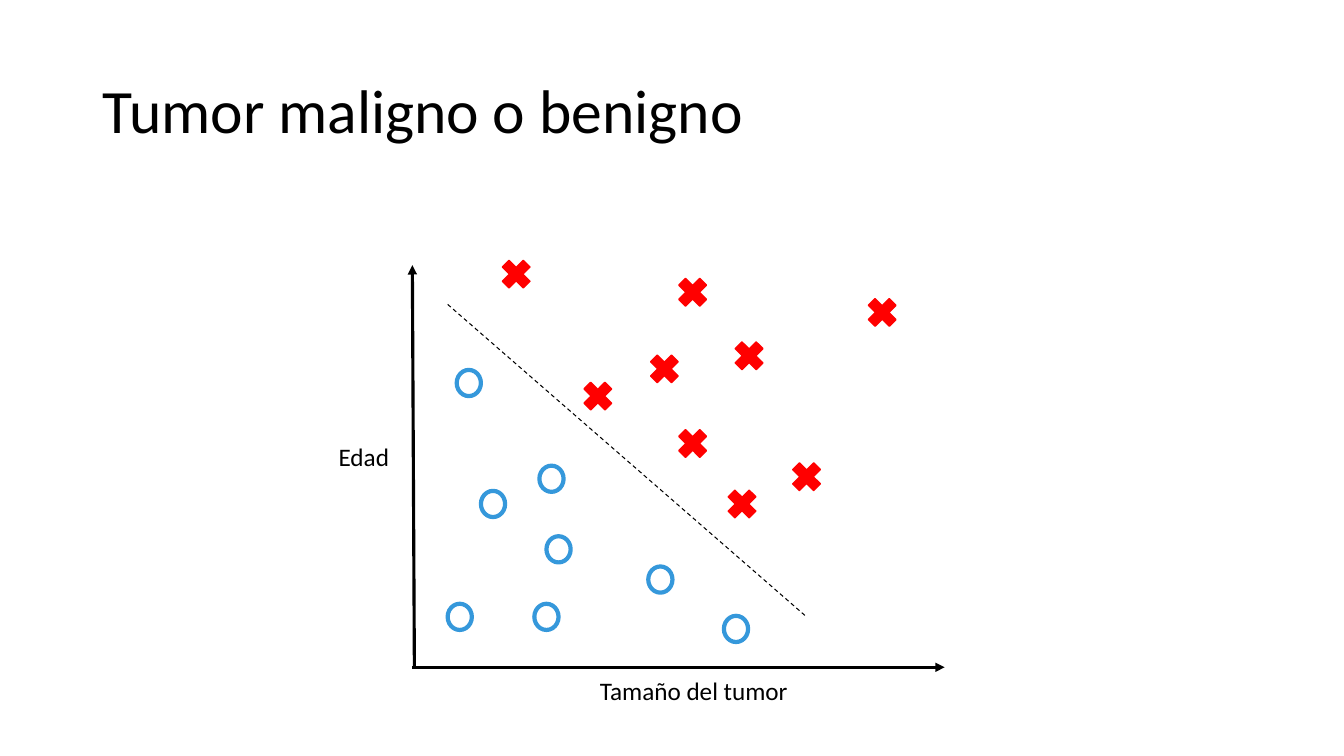
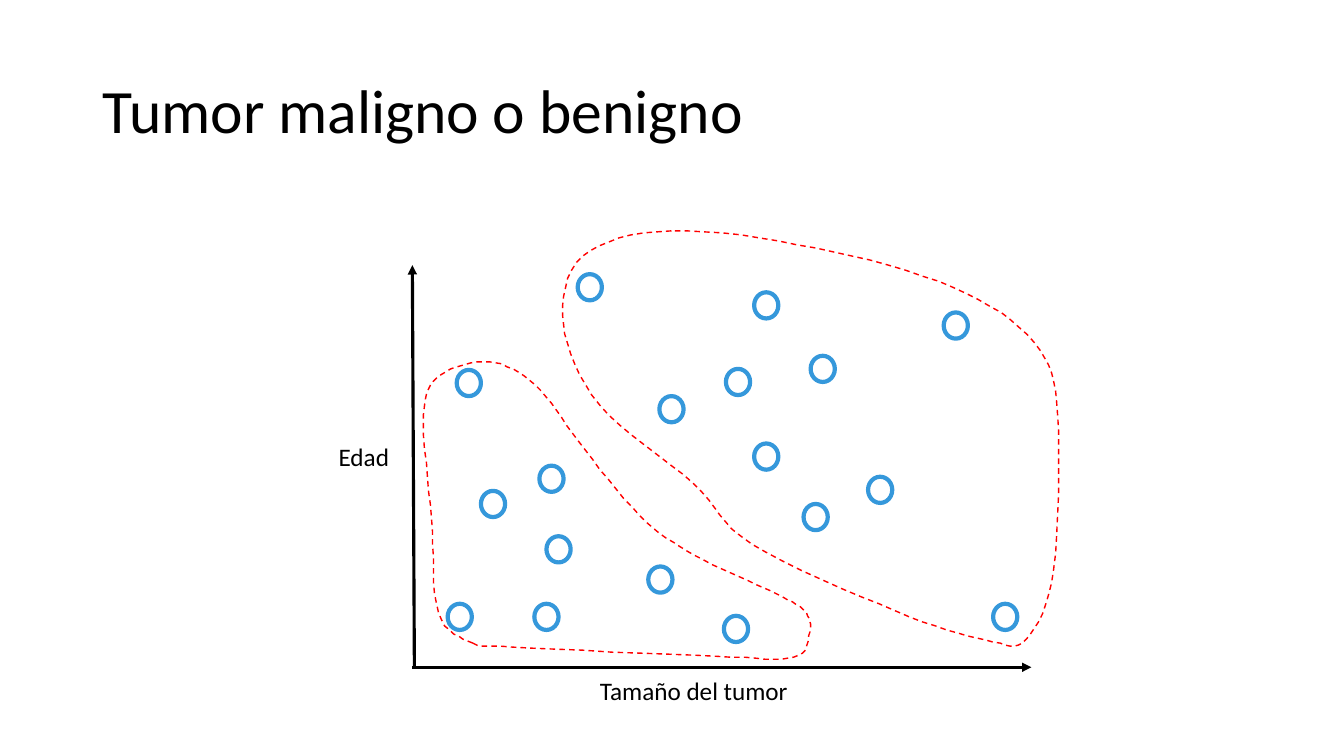
from dataclasses import dataclass

from lxml import etree
from pptx import Presentation
from pptx.dml.color import RGBColor
from pptx.enum.dml import MSO_LINE
from pptx.enum.shapes import MSO_CONNECTOR, MSO_SHAPE
from pptx.enum.text import MSO_ANCHOR, MSO_AUTO_SIZE, PP_ALIGN
from pptx.oxml.ns import qn
from pptx.util import Pt

STRAIGHT = MSO_CONNECTOR.STRAIGHT
CROSS, OVAL = MSO_SHAPE.MATH_MULTIPLY, MSO_SHAPE.OVAL
DASH = MSO_LINE.DASH
MIDDLE, LEFT = MSO_ANCHOR.MIDDLE, PP_ALIGN.LEFT
NO_FIT, GROW = MSO_AUTO_SIZE.NONE, MSO_AUTO_SIZE.SHAPE_TO_FIT_TEXT

EMU_PER_PX = 9144
SLIDE_SIZE = (1333, 750)
TITLE_BOX = (92, 40, 1150, 145)
TITLE_ONLY = 5
CURVE_STEPS = 8


@dataclass(frozen=True)
class Theme:
    """Colours, font and sizes shared by the slides."""
    ink: RGBColor = RGBColor(0x00, 0x00, 0x00)
    red: RGBColor = RGBColor(0xFF, 0x00, 0x00)
    blue: RGBColor = RGBColor(0x35, 0x98, 0xDB)
    font: str = "Calibri"
    title: int = 44
    label: int = 18
    axis: float = 2.25
    divider: float = 0.75
    thin: int = 1
    ring: int = 3


THEME = Theme()
RING_SIZE, CROSS_SIZE = (24, 26), (40, 40)

BENIGN = [(56, 117), (138, 212), (80, 237), (145, 282),
          (246, 312), (47, 349), (133, 349), (321, 361)]
MALIGNANT = [(103, 9), (278, 27), (466, 47), (334, 90), (250, 103),
             (184, 130), (278, 177), (391, 210), (327, 237)]
CLUSTER_SHIFT = (73, 13)
OUTLIER = (588, 349)
DIVIDER = ((35, 39), (391, 349))
LABELS = [("Edad", (-83, 170, 71, 40)),
          ("Tamaño del tumor", (176, 402, 209, 40))]

UPPER_BEND = [(257, -34), (169, -9), (150, 59), (186, 139)]
UPPER_DIAGONAL = [(279, 217), (337, 277), (479, 343)]
UPPER_RIGHT_SIDE = [(569, 372), (609, 371), (636, 302), (640, 149)]
UPPER_TOP = [(617, 77), (536, 22), (400, -17)]
UPPER_CLUSTER = UPPER_BEND + UPPER_DIAGONAL + UPPER_RIGHT_SIDE + UPPER_TOP

LOWER_LEFT_SIDE = [(60, 375), (26, 345), (19, 251), (11, 148)]
LOWER_TOP = [(28, 109), (77, 96), (122, 119)]
LOWER_DIAGONAL = [(165, 175), (225, 248), (280, 288), (348, 320)]
LOWER_TIP = [(388, 342), (394, 365), (378, 389), (300, 388), (100, 379)]
LOWER_CLUSTER = LOWER_LEFT_SIDE + LOWER_TOP + LOWER_DIAGONAL + LOWER_TIP


def px(*values):
    """Turn px lengths into EMU."""
    return [v * EMU_PER_PX for v in values]


def apply(target, formats):
    """Set each attribute named in a dict of format values."""
    for name, value in formats.items():
        setattr(target, name, value)


def shift(points, offset):
    """Move points by an offset."""
    return [(x + offset[0], y + offset[1]) for x, y in points]


def spline(a, b, c, d, t):
    """Return the Catmull-Rom value between b and c at fraction t."""
    return b + t / 2 * (c - a + t * (2 * a - 5 * b + 4 * c - d
                                     + t * (3 * (b - c) + d - a)))


def smooth_loop(knots):
    """Return points on a smooth closed curve through the knots."""
    count = len(knots)
    curve = []
    for i in range(count):
        near = [knots[(i + k) % count] for k in (-1, 0, 1, 2)]
        xs, ys = zip(*near)
        for step in range(CURVE_STEPS):
            t = step / CURVE_STEPS
            curve.append((spline(*xs, t), spline(*ys, t)))
    return curve


def write(tf, text, size, frame):
    """Write one run of text and format its frame and font."""
    apply(tf, frame)
    p = tf.paragraphs[0]
    p.alignment = LEFT
    r = p.add_run()
    r.text = text
    apply(r.font, {"name": THEME.font, "size": Pt(size)})
    r.font.color.rgb = THEME.ink
    return p


def stroke(line, color, width, dash=None):
    """Format a line or outline."""
    line.color.rgb = color
    apply(line, {"width": Pt(width), "dash_style": dash})


def add_title(s, box, text):
    """Place the title placeholder in its box."""
    sp = s.shapes.title
    apply(sp, dict(zip(("left", "top", "width", "height"), px(*box))))
    frame = {"vertical_anchor": MIDDLE, "word_wrap": True, "auto_size": NO_FIT}
    write(sp.text_frame, text, THEME.title, frame).line_spacing = 0.9


def add_line(s, box, ends, width, dash=None, arrow=False):
    """Draw a straight line between two points of the box."""
    start, end = shift(ends, box)
    c = s.shapes.add_connector(STRAIGHT, *px(*start, *end))
    stroke(c.line, THEME.ink, width, dash)
    sp_pr = c.element.spPr
    if arrow:
        etree.SubElement(sp_pr.find(qn("a:ln")), qn("a:tailEnd"), type="triangle")
    etree.SubElement(sp_pr, qn("a:effectLst"))


def add_mark(s, center, kind, size, color, width):
    """Draw an unfilled mark around a centre and return it."""
    w, h = size
    x, y = center
    sp = s.shapes.add_shape(kind, *px(x - w // 2, y - h // 2, w, h))
    sp.shadow.inherit = False
    sp.fill.background()
    stroke(sp.line, color, width)
    return sp


def add_rings(s, box, centers):
    """Draw blue rings at points of the box."""
    for center in shift(centers, box):
        add_mark(s, center, OVAL, RING_SIZE, THEME.blue, THEME.ring)


def add_crosses(s, box, centers):
    """Draw solid red crosses at points of the box."""
    for center in shift(centers, box):
        sp = add_mark(s, center, CROSS, CROSS_SIZE, THEME.red, THEME.thin)
        sp.fill.solid()
        sp.fill.fore_color.rgb = THEME.red


def add_cluster(s, box, knots):
    """Draw a smooth dashed outline around a group of marks."""
    start, *rest = smooth_loop(knots)
    fb = s.shapes.build_freeform(*start, scale=EMU_PER_PX)
    fb.add_line_segments(rest, close=True)
    sp = fb.convert_to_shape(*px(*box[:2]))
    sp.shadow.inherit = False
    sp.fill.background()
    stroke(sp.line, THEME.red, THEME.thin, DASH)


def add_plot(s, box):
    """Draw the axes, their labels and the benign cases."""
    x, y, w, h = box
    size_axis, age_axis = ((0, h), (w, h)), ((2, h), (0, 0))
    for axis in (size_axis, age_axis):
        add_line(s, box, axis, THEME.axis, arrow=True)
    add_rings(s, box, BENIGN)
    for text, (dx, dy, label_w, label_h) in LABELS:
        tb = s.shapes.add_textbox(*px(x + dx, y + dy, label_w, label_h))
        write(tb.text_frame, text, THEME.label,
              {"word_wrap": False, "auto_size": GROW})


def add_tumor_slide(prs, box):
    """Add a titled slide holding the plot in its box."""
    s = prs.slides.add_slide(prs.slide_layouts[TITLE_ONLY])
    add_title(s, TITLE_BOX, "Tumor maligno o benigno")
    add_plot(s, box)
    return s


def add_classified_slide(prs, box):
    """Add the plot with two labelled classes and a divider."""
    s = add_tumor_slide(prs, box)
    add_crosses(s, box, MALIGNANT)
    add_line(s, box, DIVIDER, THEME.divider, DASH)


def add_clustered_slide(prs, box):
    """Add the plot with unlabelled cases in two clusters."""
    s = add_tumor_slide(prs, box)
    add_rings(s, box, shift(MALIGNANT, CLUSTER_SHIFT) + [OUTLIER])
    for knots in (UPPER_CLUSTER, LOWER_CLUSTER):
        add_cluster(s, box, knots)


def main():
    """Build and save the presentation."""
    prs = Presentation()
    prs.slide_width, prs.slide_height = px(*SLIDE_SIZE)
    add_classified_slide(prs, (409, 263, 528, 399))
    add_clustered_slide(prs, (409, 263, 614, 399))
    prs.save("out.pptx")


if __name__ == "__main__":
    main()
